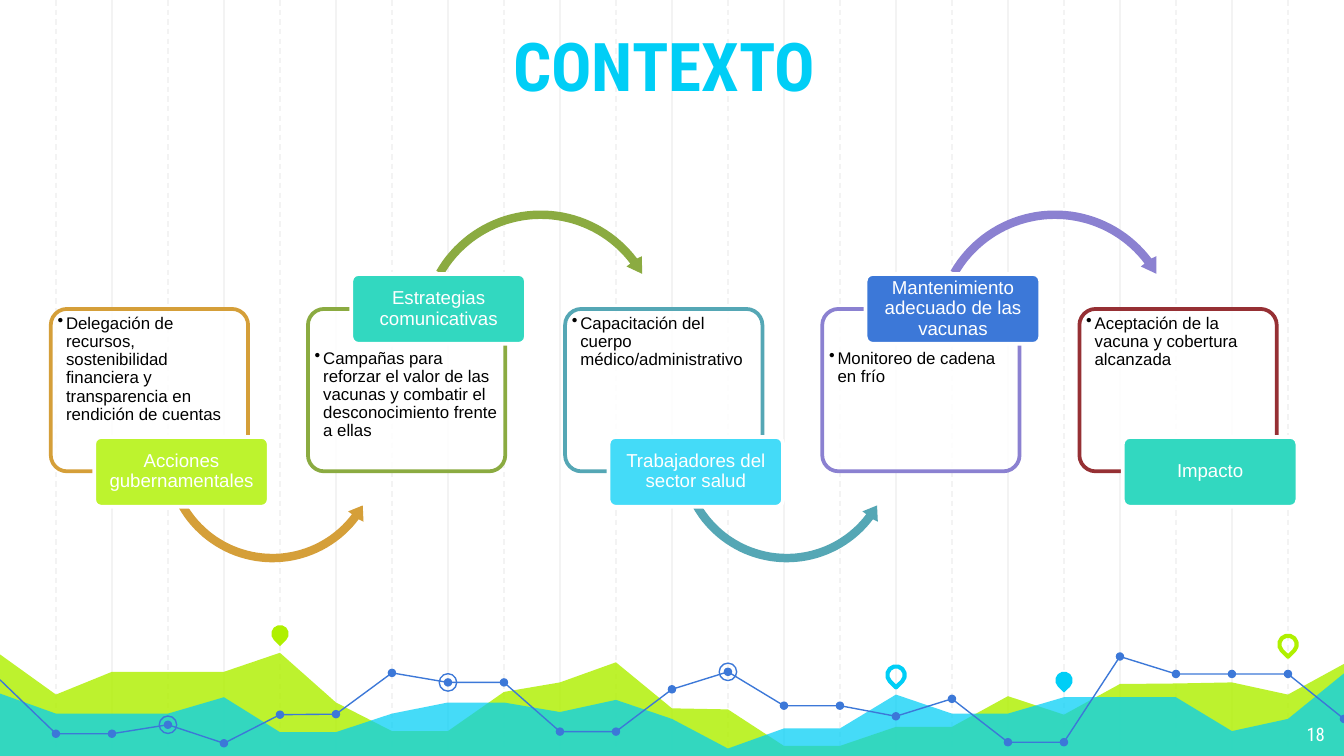
"""Build the CONTEXTO slide: five linked cards above a skyline chart."""
from math import cos, radians, sin

from lxml import etree
from pptx import Presentation
from pptx.dml.color import RGBColor
from pptx.enum.dml import MSO_LINE
from pptx.enum.shapes import MSO_CONNECTOR, MSO_SHAPE
from pptx.enum.text import MSO_ANCHOR, MSO_AUTO_SIZE, PP_ALIGN
from pptx.oxml.ns import qn
from pptx.util import Cm, Pt

ROUND, OVAL, DROP = MSO_SHAPE.ROUNDED_RECTANGLE, MSO_SHAPE.OVAL, MSO_SHAPE.TEAR
STRAIGHT, DASH = MSO_CONNECTOR.STRAIGHT, MSO_LINE.DASH
TOP, MIDDLE, BOTTOM = MSO_ANCHOR.TOP, MSO_ANCHOR.MIDDLE, MSO_ANCHOR.BOTTOM
LEFT, CENTER, RIGHT = PP_ALIGN.LEFT, PP_ALIGN.CENTER, PP_ALIGN.RIGHT
FIXED = MSO_AUTO_SIZE.NONE

WHITE = RGBColor(0xFF, 0xFF, 0xFF)
BLACK = RGBColor(0x00, 0x00, 0x00)
PALE = RGBColor(0xF3, 0xF3, 0xF3)
LIME = RGBColor(0xAF, 0xF0, 0x00)
CYAN = RGBColor(0x00, 0xCE, 0xF6)
BLUE = RGBColor(0x3C, 0x78, 0xD8)
TEAL = RGBColor(0x32, 0xD8, 0xC0)
LEAF = RGBColor(0xBD, 0xF3, 0x2E)
SKY = RGBColor(0x44, 0xDB, 0xF8)
GOLD = RGBColor(0xD5, 0x9F, 0x39)
OLIVE = RGBColor(0x8B, 0xAB, 0x41)
STEEL = RGBColor(0x55, 0xA7, 0xB5)
LILAC = RGBColor(0x8B, 0x81, 0xD1)
WINE = RGBColor(0x96, 0x30, 0x34)

HEAD, BODY = "Roboto Condensed", "Arial"
WIDTH, HEIGHT, COLS = 25.4, 14.29, 24
STEP = WIDTH / COLS

HILLS = [12.37, 13.13, 12.7, 12.7, 12.7, 12.34, 13.28, 13.82, 13.82, 13.08,
         12.9, 12.52, 13.39, 13.41, 14.1, 14.1, 13.74, 13.74, 13.16, 13.51,
         12.93, 12.92, 12.9, 13.13, 12.55]
WAVES = [13.11, 13.49, 13.49, 13.49, 13.18, 13.84, 13.84, 13.49, 13.28, 13.28,
         13.46, 13.23, 13.59, 14.15, 13.77, 13.77, 13.13, 13.49, 13.49, 13.18,
         13.18, 13.18, 13.82, 13.59, 12.73]
TREND = [12.85, 13.87, 13.87, 13.7, 14.05, 13.51, 13.5, 12.72, 12.9, 12.9,
         13.83, 13.83, 13.03, 12.7, 13.34, 13.34, 13.54, 13.21, 14.03, 14.03,
         12.41, 12.74, 12.74, 12.74, 13.59]
RINGS = (3, 8, 13)
PINS = [(5, 11.98, LIME, True), (16, 12.76, CYAN, False),
        (19, 12.86, CYAN, True), (23, 12.18, LIME, False)]
CARDS = [
    ("Acciones gubernamentales", "Delegación de recursos, sostenibilidad "
     "financiera y transparencia en rendición de cuentas", GOLD, LEAF),
    ("Estrategias comunicativas", "Campañas para reforzar el valor de las "
     "vacunas y combatir el desconocimiento frente a ellas", OLIVE, TEAL),
    ("Trabajadores del sector salud",
     "Capacitación del cuerpo médico/administrativo", STEEL, SKY),
    ("Mantenimiento adecuado de las vacunas",
     "Monitoreo de cadena en frío", LILAC, BLUE),
    ("Impacto", "Aceptación de la vacuna y cobertura alcanzada", WINE, TEAL),
]


class Deck:
    """Holds the style and the current slide."""

    def __init__(self):
        self.prs = Presentation()
        self.prs.slide_width, self.prs.slide_height = Cm(WIDTH), Cm(HEIGHT)
        self.slide = self.prs.slides.add_slide(self.prs.slide_layouts[5])
        self.shapes = self.slide.shapes

    def paint(self, shape, fill=None, line=None, width=0.75, alpha=None):
        shape.shadow.inherit = False
        if fill is None:
            shape.fill.background()
        else:
            shape.fill.solid()
            shape.fill.fore_color.rgb = fill
        if alpha:
            tint = shape._element.spPr.find(qn("a:solidFill"))[0]
            etree.SubElement(tint, qn("a:alpha")).set("val", str(alpha * 1000))
        if line is None:
            shape.line.fill.background()
        else:
            shape.line.color.rgb = line
            shape.line.width = Pt(width)
        return shape

    def letter(self, shape, text, size, color, font=BODY, align=CENTER,
               anchor=MIDDLE, pad=(0.25, 0.25, 0.25, 0.25), bold=False):
        frame = shape.text_frame
        frame.text = text
        frame.word_wrap, frame.auto_size = True, FIXED
        frame.vertical_anchor = anchor
        (frame.margin_left, frame.margin_top,
         frame.margin_right, frame.margin_bottom) = map(Cm, pad)
        para = frame.paragraphs[0]
        para.alignment = align
        style = para.runs[0].font
        style.name, style.size, style.bold = font, Pt(size), bold
        style.color.rgb = color
        return para

    def title(self, text, left, top, width, height):
        shape = self.shapes.title
        self.shapes._spTree.append(shape._element)
        shape.left, shape.top = Cm(left), Cm(top)
        shape.width, shape.height = Cm(width), Cm(height)
        self.letter(shape, text, 36, CYAN, HEAD, anchor=BOTTOM, bold=True)

    def number(self, text, left, top, width, height):
        box = self.shapes.add_textbox(Cm(left), Cm(top), Cm(width), Cm(height))
        self.letter(box, text, 10, WHITE, HEAD, RIGHT, TOP)

    def rule(self, col):
        x = Cm(col * STEP)
        line = self.shapes.add_connector(STRAIGHT, x, 0, x, Cm(HEIGHT))
        line.line.color.rgb, line.line.width = PALE, Pt(0.75)
        if col % 2:
            line.line.dash_style = DASH
        etree.SubElement(line._element.spPr, qn("a:effectLst"))

    def outline(self, points, close=True, **style):
        spots = [(Cm(x), Cm(y)) for x, y in points]
        trace = self.shapes.build_freeform(*spots[0], scale=1.0)
        trace.add_line_segments(spots[1:], close=close)
        self.paint(trace.convert_to_shape(), **style)

    def mark(self, kind, col, y, size, **style):
        shape = self.shapes.add_shape(kind, Cm(col * STEP - size / 2),
                                      Cm(y - size / 2), Cm(size), Cm(size))
        return self.paint(shape, **style)

    def block(self, left, top, width, height, **style):
        shape = self.shapes.add_shape(ROUND, Cm(left), Cm(top),
                                      Cm(width), Cm(height))
        shape.adjustments[0] = 0.1
        return self.paint(shape, width=2, **style)

    def card(self, left, text, color, high):
        shape = self.block(left, 5.84, 3.73, 3.07, fill=WHITE, line=color,
                           alpha=90)
        pad = (0.04, 0.68 if high else 0.02, 0.04, 0.02)
        para = self.letter(shape, text, 9, BLACK, align=LEFT, anchor=TOP,
                           pad=pad)
        para.line_spacing = 0.9
        props = para._p.get_or_add_pPr()
        props.set("marL", str(Cm(0.16)))
        props.set("indent", str(-Cm(0.16)))
        etree.SubElement(props, qn("a:buChar")).set("char", "•")

    def label(self, left, text, color, high):
        shape = self.block(left + 0.82, 5.18 if high else 8.26, 3.3, 1.32,
                           fill=color, line=WHITE)
        para = self.letter(shape, text, 10, WHITE, pad=(0.05, 0.02, 0.05, 0.02))
        para.line_spacing = 0.9

    def arrow(self, left, color, high):
        x, y, reach, way = ((left + 4.4, 6.26, 2.2, -1) if high
                            else (left + 4.19, 8.59, 1.96, 1))
        arc = [150 - 113 * i / 40 for i in range(41)]
        polar = [(reach + 0.08, a) for a in arc]
        polar += [(reach + 0.18, 36.5), (reach, 29.5), (reach - 0.17, 37)]
        polar += [(reach - 0.08, a) for a in reversed(arc)]
        self.outline([(x + r * cos(radians(a)), y + way * r * sin(radians(a)))
                      for r, a in polar], fill=color)


def main():
    deck = Deck()
    for col in [*range(2, COLS, 2), *range(1, COLS, 2)]:
        deck.rule(col)

    for tops, color, alpha in ((HILLS, LIME, 82), (WAVES, CYAN, 73)):
        edge = [(col * STEP, y) for col, y in enumerate(tops)]
        deck.outline(edge + [(WIDTH, HEIGHT), (0, HEIGHT)], fill=color,
                     alpha=alpha)
    deck.outline([(col * STEP, y) for col, y in enumerate(TREND)],
                 close=False, line=BLUE)
    for col, y in enumerate(TREND[1:], 1):
        deck.mark(OVAL, col, y, 0.16, fill=BLUE)
    for col in RINGS:
        deck.mark(OVAL, col, TREND[col], 0.33, line=BLUE)
    for col, y, color, solid in PINS:
        style = {"fill": color} if solid else {"line": color, "width": 2.25}
        deck.mark(DROP, col, y, 0.33, **style).rotation = 135

    deck.title("CONTEXTO", 2.84, 0.25, 19.43, 1.98)
    deck.number("18", 23.77, 13.41, 1.52, 0.89)

    for i, (name, text, color, fill) in enumerate(CARDS):
        left, high = 0.96 + 4.86 * i, i % 2 == 1
        deck.card(left, text, color, high)
        if i < len(CARDS) - 1:
            deck.arrow(left, color, high)
        deck.label(left, name, fill, high)
    deck.prs.save("out.pptx")


if __name__ == "__main__":
    main()
